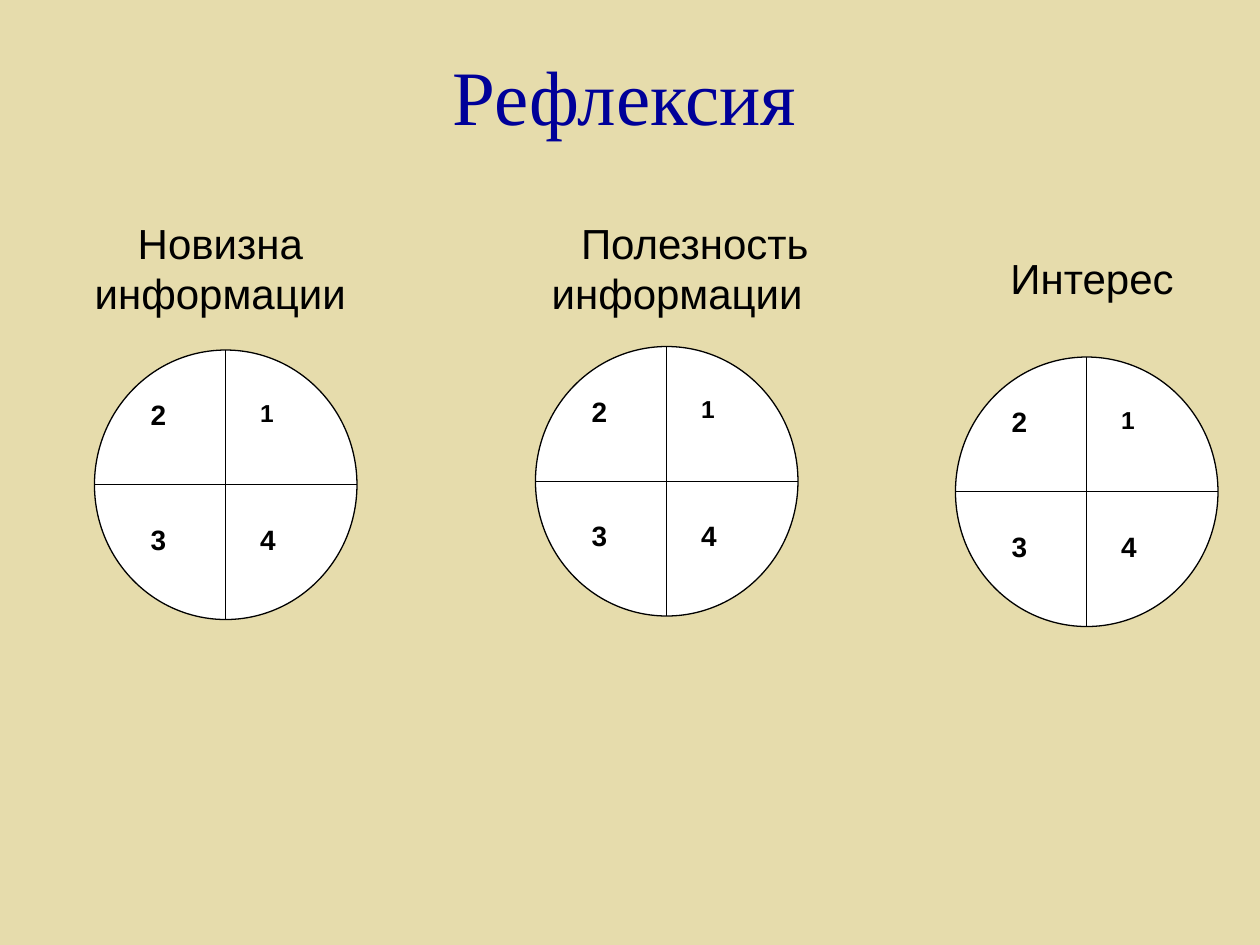
"""Build the reflection slide with three quartered circles."""
from pptx import Presentation
from pptx.dml.color import RGBColor
from pptx.enum.shapes import MSO_CONNECTOR, MSO_SHAPE
from pptx.enum.text import MSO_ANCHOR, PP_ALIGN
from pptx.oxml.ns import qn
from pptx.util import Pt

COLORS = {
    "background": "E6DCAC",
    "title": "000099",
    "ink": "000000",
    "circle": "FFFFFF",
}


def rgb(name):
    return RGBColor.from_string(COLORS[name])


def add_text(shapes, text, left, top, width, height, size=24, font="Arial",
             color="ink", bold=False, align=PP_ALIGN.LEFT,
             anchor=MSO_ANCHOR.TOP, fill=None, indent=0):
    sp = shapes.add_textbox(Pt(left), Pt(top), Pt(width), Pt(height))
    if fill:
        sp.fill.solid()
        sp.fill.fore_color.rgb = rgb(fill)
    tf = sp.text_frame
    tf.word_wrap = True
    tf.vertical_anchor = anchor
    tf.text = text
    for p in tf.paragraphs:
        p.alignment = align
        if indent:
            p._p.get_or_add_pPr().set("indent", str(Pt(indent)))
        for r in p.runs:
            r.font.size = Pt(size)
            r.font.name = font
            r.font.bold = bold
            r.font.color.rgb = rgb(color)


prs = Presentation()
prs.slide_width, prs.slide_height = Pt(720), Pt(540)
s = prs.slides.add_slide(prs.slide_layouts[6])
s.background.fill.solid()
s.background.fill.fore_color.rgb = rgb("background")

add_text(s.shapes, "Рефлексия", 18, 24, 678, 60.5, size=44,
         font="Times New Roman", color="title", align=PP_ALIGN.CENTER)

headings = [
    ("Новизна \nинформации ", -3.5, 120.5, 265.5, 65, 0),
    ("Полезность информации", 237, 120.5, 300, 65, 20),
    ("Интерес", 564, 140.5, 120, 36, 0),
]
for text, left, top, width, height, indent in headings:
    add_text(s.shapes, text, left, top, width, height, indent=indent,
             align=PP_ALIGN.CENTER, anchor=MSO_ANCHOR.MIDDLE)

circle_w, circle_h = 150, 154
digits = [
    ("1", 87.5, 23.75, 37.5, 35, 14, "circle"),
    ("2", 25, 23.75, 37.5, 47.5, 16, "circle"),
    ("3", 25, 95, 37.5, 47.5, 16, None),
    ("4", 87.5, 95, 62.5, 59, 16, None),
]
for left, top in [(54, 200), (306, 198), (546, 204)]:
    group = s.shapes.add_group_shape()
    circle = group.shapes.add_shape(MSO_SHAPE.OVAL, Pt(left), Pt(top),
                                    Pt(circle_w), Pt(circle_h))
    circle.shadow.inherit = False
    circle.fill.solid()
    circle.fill.fore_color.rgb = rgb("circle")
    circle.line.color.rgb = rgb("ink")
    circle.line.width = Pt(0.75)

    mid_x, mid_y = left + circle_w / 2, top + circle_h / 2
    for ends in [(mid_x, top, mid_x, top + circle_h),
                 (left, mid_y, left + circle_w, mid_y)]:
        line = group.shapes.add_connector(MSO_CONNECTOR.STRAIGHT,
                                          *[Pt(v) for v in ends])
        line.line.color.rgb = rgb("ink")
        line.line.width = Pt(0.75)
        sp_pr = line._element.spPr
        sp_pr.append(sp_pr.makeelement(qn("a:effectLst"), {}))

    for text, dx, dy, width, height, size, fill in digits:
        add_text(group.shapes, text, left + dx, top + dy, width, height,
                 size=size, bold=True, fill=fill)

prs.save("out.pptx")
